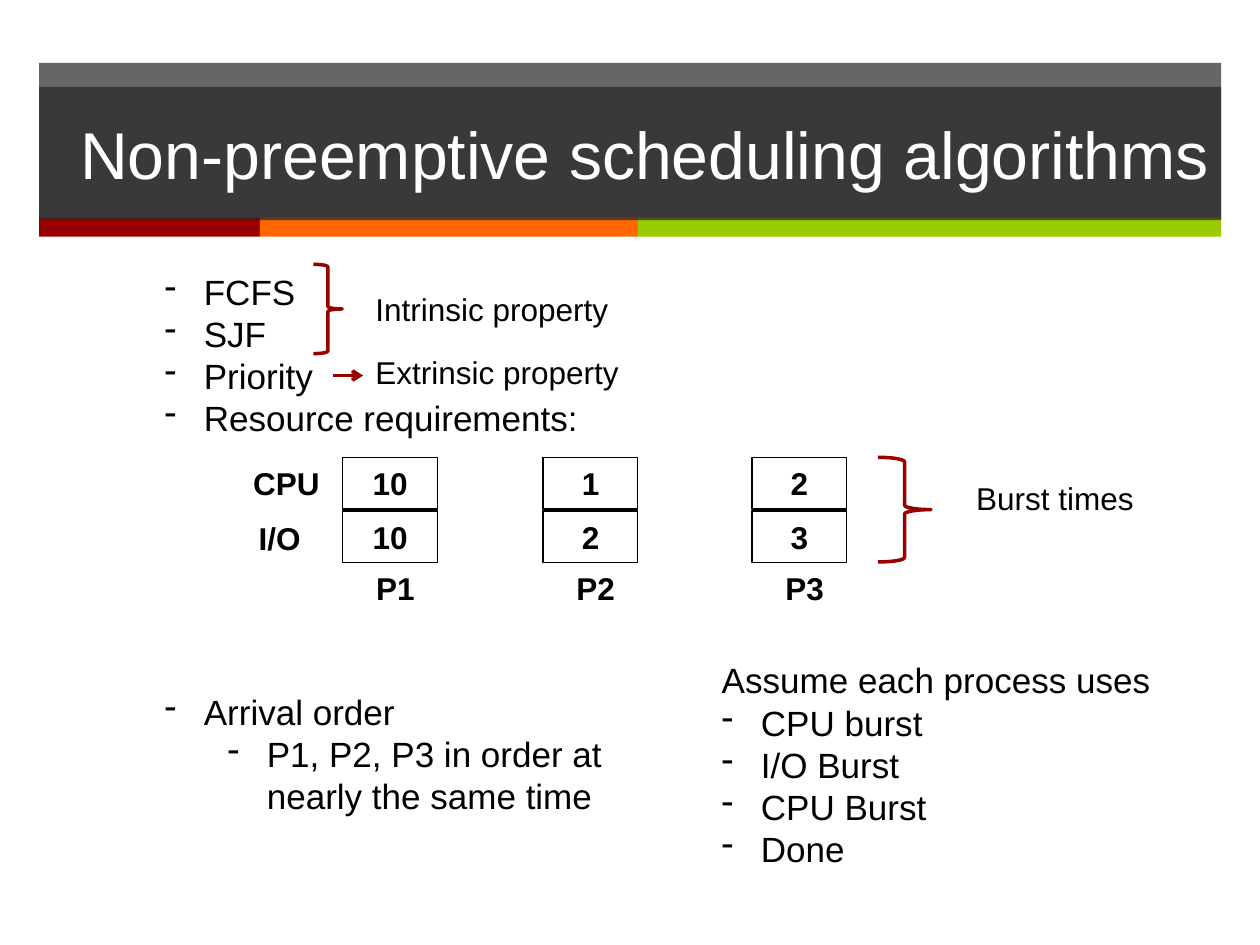
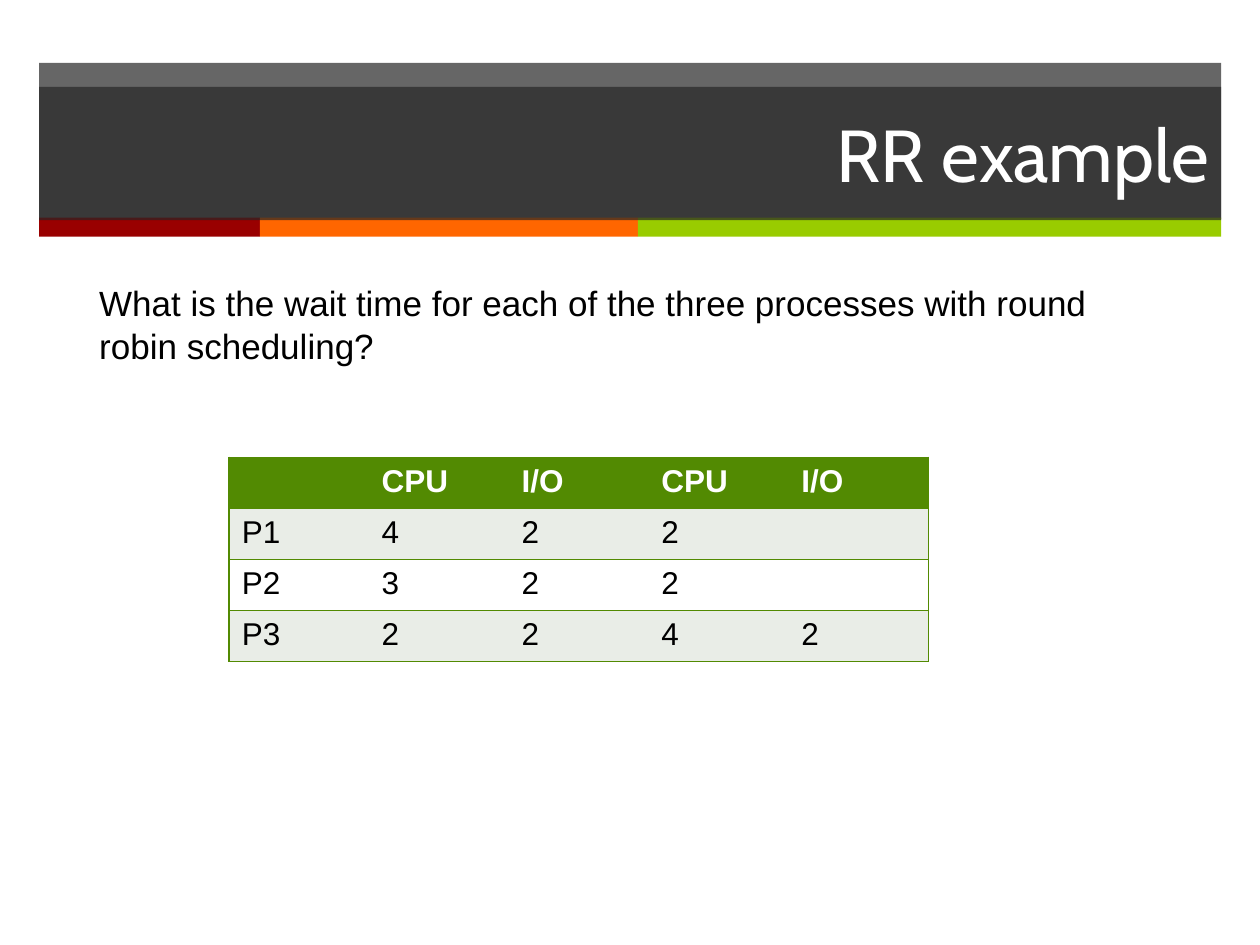
from dataclasses import dataclass

from lxml.etree import SubElement
from pptx import Presentation
from pptx.dml.color import RGBColor
from pptx.enum.shapes import MSO_CONNECTOR, MSO_SHAPE as SHAPE
from pptx.enum.text import MSO_ANCHOR as ANCHOR, PP_ALIGN as ALIGN
from pptx.oxml import parse_xml
from pptx.oxml.ns import nsdecls, qn
from pptx.util import Cm, Pt


@dataclass(frozen=True)
class Theme:
    font: str = "Arial"
    title_font: str = "Cabin"
    text: str = "000000"
    white: str = "FFFFFF"
    band: str = "262626"
    red: str = "990000"
    orange: str = "FF6600"
    lime: str = "99CC00"
    green: str = "528A02"
    stripe: str = "E9EDE7"
    title_size: float = 42
    body_size: float = 20
    label_size: float = 18


T = Theme()
LABEL_H = 1.02


def rgb(color):
    return RGBColor.from_string(color)


def write(p, text, size=T.body_size, color=T.text, bold=False, font=T.font,
          align=None, before=None):
    """Add one formatted run to a paragraph."""
    p.alignment = align
    if before:
        p.space_before = Pt(before)
    r = p.add_run()
    r.text = text
    r.font.name, r.font.size, r.font.bold = font, Pt(size), bold
    r.font.color.rgb = rgb(color)


class Deck:
    def __init__(self):
        self.prs = Presentation()
        self.prs.slide_width, self.prs.slide_height = Cm(25.4), Cm(19.05)
        self.s = None

    def slide(self, title, **fmt):
        """Start a slide with the shared bands and a title."""
        self.s = self.prs.slides.add_slide(self.prs.slide_layouts[6])
        left, width = 0.79, 23.83
        self.shape(left, 1.27, width, 3.15, fill=T.band, alpha=70)
        x = left
        for w, color in ((4.45, T.red), (7.62, T.orange), (11.76, T.lime)):
            self.shape(x, 4.39, w, 0.38, fill=color)
            x += w
        sp = self.shape(left, 1.75, width, 2.69, fill=T.band, alpha=70)
        fmt = {"size": T.title_size, "font": T.title_font, **fmt}
        self.fill_text(sp, title, color=T.white, align=ALIGN.RIGHT, **fmt)

    def shape(self, x, y, w, h, kind=SHAPE.RECTANGLE, fill=None, alpha=None,
              line=None, weight=0.75):
        sp = self.s.shapes.add_shape(kind, Cm(x), Cm(y), Cm(w), Cm(h))
        sp.shadow.inherit = False
        if fill:
            sp.fill.solid()
            sp.fill.fore_color.rgb = rgb(fill)
            if alpha:
                clr = sp.fill._xPr.find(".//" + qn("a:srgbClr"))
                SubElement(clr, qn("a:alpha"), val=str(alpha * 1000))
        else:
            sp.fill.background()
        if line:
            sp.line.color.rgb = rgb(line)
            sp.line.width = Pt(weight)
        else:
            sp.line.fill.background()
        return sp

    def fill_text(self, sp, text, **fmt):
        tf = sp.text_frame
        tf.word_wrap, tf.vertical_anchor = True, ANCHOR.MIDDLE
        write(tf.paragraphs[0], text, **fmt)

    def brace(self, x, y, w, h):
        self.shape(x, y, w, h, SHAPE.RIGHT_BRACE, line=T.red, weight=2)

    def arrow(self, x1, x2, y):
        c = self.s.shapes.add_connector(
            MSO_CONNECTOR.STRAIGHT, Cm(x1), Cm(y), Cm(x2), Cm(y))
        c.line.color.rgb, c.line.width = rgb(T.red), Pt(2)
        SubElement(c.line._get_or_add_ln(), qn("a:tailEnd"), type="arrow")
        SubElement(c._element.spPr, qn("a:effectLst"))

    def box(self, x, y, w, h, wrap=True):
        tf = self.s.shapes.add_textbox(Cm(x), Cm(y), Cm(w), Cm(h)).text_frame
        tf.word_wrap = wrap
        return tf

    def text(self, x, y, w, h, text, wrap=True, **fmt):
        write(self.box(x, y, w, h, wrap).paragraphs[0], text, **fmt)

    def label(self, x, y, w, text, **fmt):
        self.text(x, y, w, LABEL_H, text, size=T.label_size, **fmt)

    def bullets(self, x, y, w, h, items):
        """Items are (text, level, space before); level None has no dash."""
        tf = self.box(x, y, w, h)
        for i, (text, level, before) in enumerate(items):
            p = tf.paragraphs[0] if i == 0 else tf.add_paragraph()
            if level is not None:
                p.level = level
                pPr = p._p.get_or_add_pPr()
                pPr.set("marL", str(Cm(0.79 + 1.27 * level)))
                pPr.set("indent", str(-Cm(0.79)))
                SubElement(pPr, qn("a:buChar"), char="-")
            write(p, text, before=before)

    def table(self, x, y, col_w, row_h, rows):
        n = len(rows[0])
        tbl = self.s.shapes.add_table(
            len(rows), n, Cm(x), Cm(y), Cm(col_w * n), Cm(row_h * len(rows))).table
        for i, row in enumerate(rows):
            for j, value in enumerate(row):
                cell = tbl.cell(i, j)
                head = i == 0
                fill = T.green if head else (T.stripe if i % 2 else T.white)
                self.borders(cell, L=j == 0, R=j == n - 1, T=True, B=True)
                cell.fill.solid()
                cell.fill.fore_color.rgb = rgb(fill)
                if value:
                    write(cell.text_frame.paragraphs[0], value, bold=head,
                          size=T.label_size, color=T.white if head else T.text)

    def borders(self, cell, **sides):
        tcPr = cell._tc.get_or_add_tcPr()
        solid = f'<a:solidFill><a:srgbClr val="{T.green}"/></a:solidFill>'
        for side, shown in sides.items():
            paint = solid if shown else "<a:noFill/>"
            tcPr.append(parse_xml(
                f'<a:ln{side} {nsdecls("a")} w="{Pt(1)}">{paint}</a:ln{side}>'))


def non_preemptive(d):
    d.slide("Non-preemptive scheduling algorithms", size=37.8, font=T.font)

    # Burst grid: one column for each process
    top, pitch = 9.22, 1.08
    bold = {"bold": True, "align": ALIGN.CENTER}
    d.label(4.85, top, 1.85, "CPU", wrap=False, **bold)
    d.label(4.88, top + 1.12, 1.52, "I/O", wrap=False, **bold)
    processes = (("P1", 6.91, (10, 10)), ("P2", 10.95, (1, 2)),
                 ("P3", 15.16, (2, 3)))
    for name, x, bursts in processes:
        for i, burst in enumerate(bursts):
            cell = d.shape(x, top + i * pitch, 1.91, 1.04, line=T.text)
            d.fill_text(cell, str(burst), size=T.label_size, **bold)
        d.label(x + 0.41, 11.35, 1.3, name, wrap=False, **bold)

    # Algorithms and arrival order, with room for the grid between them
    d.bullets(3.07, 5.33, 10.92, 11.38, [
        ("FCFS", 0, None), ("SJF", 0, None), ("Priority", 0, None),
        ("Resource requirements:", 0, None), ("Arrival order", 0, 144),
        ("P1, P2, P3 in order at nearly the same time", 1, None)])

    # Annotations
    d.brace(6.32, 5.33, 0.58, 1.8)
    d.label(7.32, 5.72, 6.43, "Intrinsic property")
    d.label(7.32, 6.99, 6.43, "Extrinsic property")
    d.arrow(6.71, 7.32, 7.57)
    d.brace(17.7, top, 1.07, 2.11)
    d.label(19.43, 9.53, 4.29, "Burst times")

    # Assumptions
    steps = ("CPU burst", "I/O Burst", "CPU Burst", "Done")
    d.bullets(14.3, 13.16, 9.73, 4.52,
              [("Assume each process uses", None, None)]
              + [(step, 0, None) for step in steps])


def round_robin(d):
    d.slide("RR example")
    d.text(1.75, 5.56, 22.07, 3.68, "What is the wait time for each of the "
           "three processes with round robin scheduling?")
    d.table(4.62, 9.22, 2.82, 1.03, [
        ("", "CPU", "I/O", "CPU", "I/O"),
        ("P1", "4", "2", "2", ""),
        ("P2", "3", "2", "2", ""),
        ("P3", "2", "2", "4", "2")])


def main():
    d = Deck()
    non_preemptive(d)
    round_robin(d)
    d.prs.save("out.pptx")


if __name__ == "__main__":
    main()
